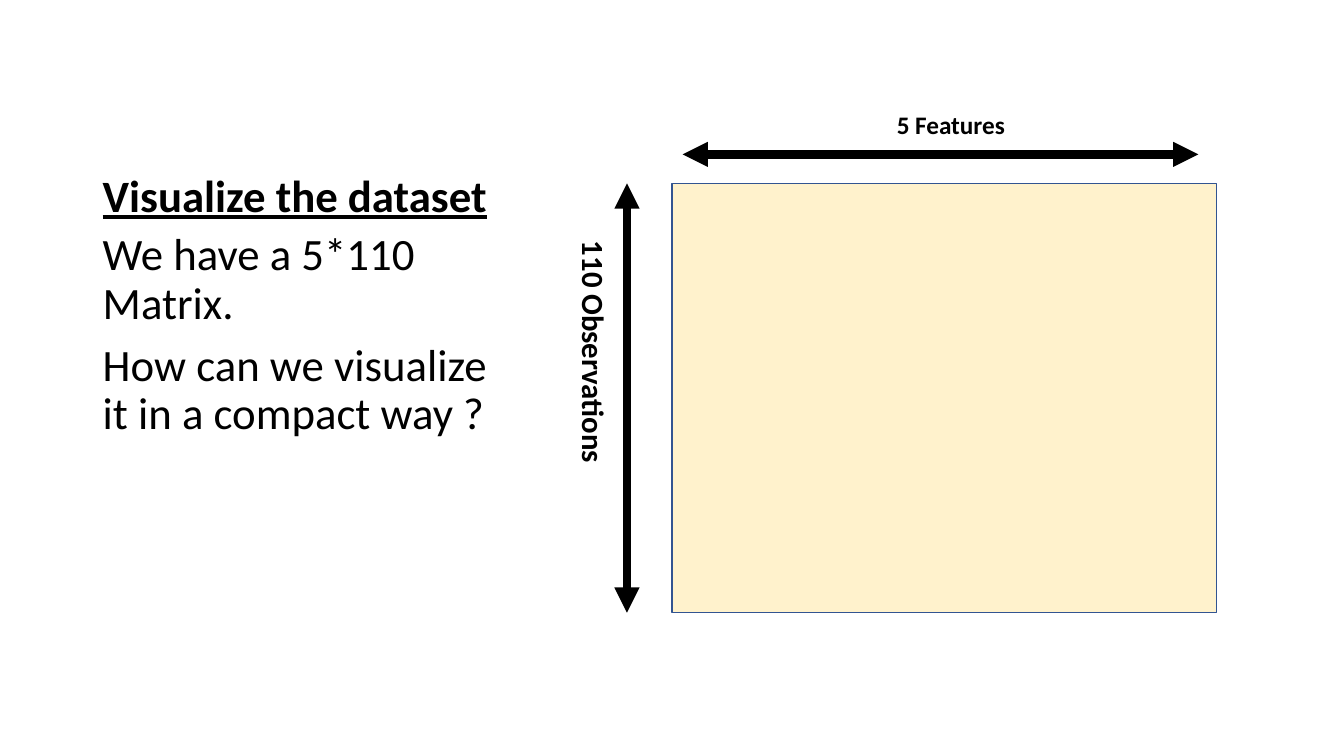
from dataclasses import dataclass

from lxml.etree import SubElement
from pptx import Presentation
from pptx.dml.color import RGBColor
from pptx.enum.shapes import MSO_CONNECTOR, MSO_SHAPE
from pptx.enum.text import MSO_ANCHOR, MSO_AUTO_SIZE
from pptx.oxml.ns import qn
from pptx.util import Cm, Pt


@dataclass
class Theme:
    font: str = "Calibri"
    ink: RGBColor = RGBColor(0x00, 0x00, 0x00)
    sand: RGBColor = RGBColor(0xFF, 0xF2, 0xCC)
    edge: RGBColor = RGBColor(0x32, 0x54, 0x91)
    body: int = 32
    side: int = 22
    label: int = 18


theme = Theme()
deck = Presentation()
deck.slide_width, deck.slide_height = Cm(33.87), Cm(19.05)
slide = deck.slides.add_slide(deck.slide_layouts[6])


def write(box, *lines, size, bold=False, under=False, space=1, before=0,
          anchor=MSO_ANCHOR.TOP, turn=None, grow=False):
    """Add a text box at box (left, top, width, height in cm), one paragraph per line."""
    frame = slide.shapes.add_textbox(*map(Cm, box)).text_frame
    frame.word_wrap = True
    frame.vertical_anchor = anchor
    frame.auto_size = MSO_AUTO_SIZE.SHAPE_TO_FIT_TEXT if grow else MSO_AUTO_SIZE.NONE
    if turn:
        frame._txBody.bodyPr.set("vert", turn)
    for i, line in enumerate(lines):
        para = frame.paragraphs[0] if i == 0 else frame.add_paragraph()
        para.line_spacing = space
        para.space_before = Pt(before)
        run = para.add_run()
        run.text = line
        font = run.font
        font.name, font.size = theme.font, Pt(size)
        font.bold, font.underline = bold, under
        font.color.rgb = theme.ink


# Left column
write((2.34, 1.27, 10.92, 4.45), "Visualize the dataset", size=theme.body,
      bold=True, under=True, space=0.9, anchor=MSO_ANCHOR.BOTTOM)
write((2.34, 5.72, 10.92, 10.59), "We have a 5*110 Matrix.",
      "How can we visualize it in a compact way ?",
      size=theme.body, space=0.9, before=10)

# Matrix
left, top, width, height = 16.94, 4.62, 13.72, 10.82
matrix = slide.shapes.add_shape(
    MSO_SHAPE.RECTANGLE, Cm(left), Cm(top), Cm(width), Cm(height))
matrix.shadow.inherit = False
matrix.fill.solid()
matrix.fill.fore_color.rgb = theme.sand
matrix.line.color.rgb = theme.edge
matrix.line.width = Pt(1)

# Dimension arrows
write((22.35, 2.62, 3.56, 1.02), "5 Features", size=theme.label, bold=True, grow=True)
spans = [(17.2, 3.89, 30.2, 3.89), (15.8, top, 15.8, top + height)]
for span in spans:
    arrow = slide.shapes.add_connector(MSO_CONNECTOR.STRAIGHT, *map(Cm, span))
    arrow.line.color.rgb = theme.ink
    arrow.line.width = Pt(6)
    stroke = arrow.line._get_or_add_ln()
    for end in ("a:headEnd", "a:tailEnd"):
        SubElement(stroke, qn(end), type="triangle")
    SubElement(arrow._element.spPr, qn("a:effectLst"))
write((14.12, 5.82, 1.45, 10.52), "110 Observations", size=theme.side,
      bold=True, turn="eaVert", grow=True)

deck.save("out.pptx")
